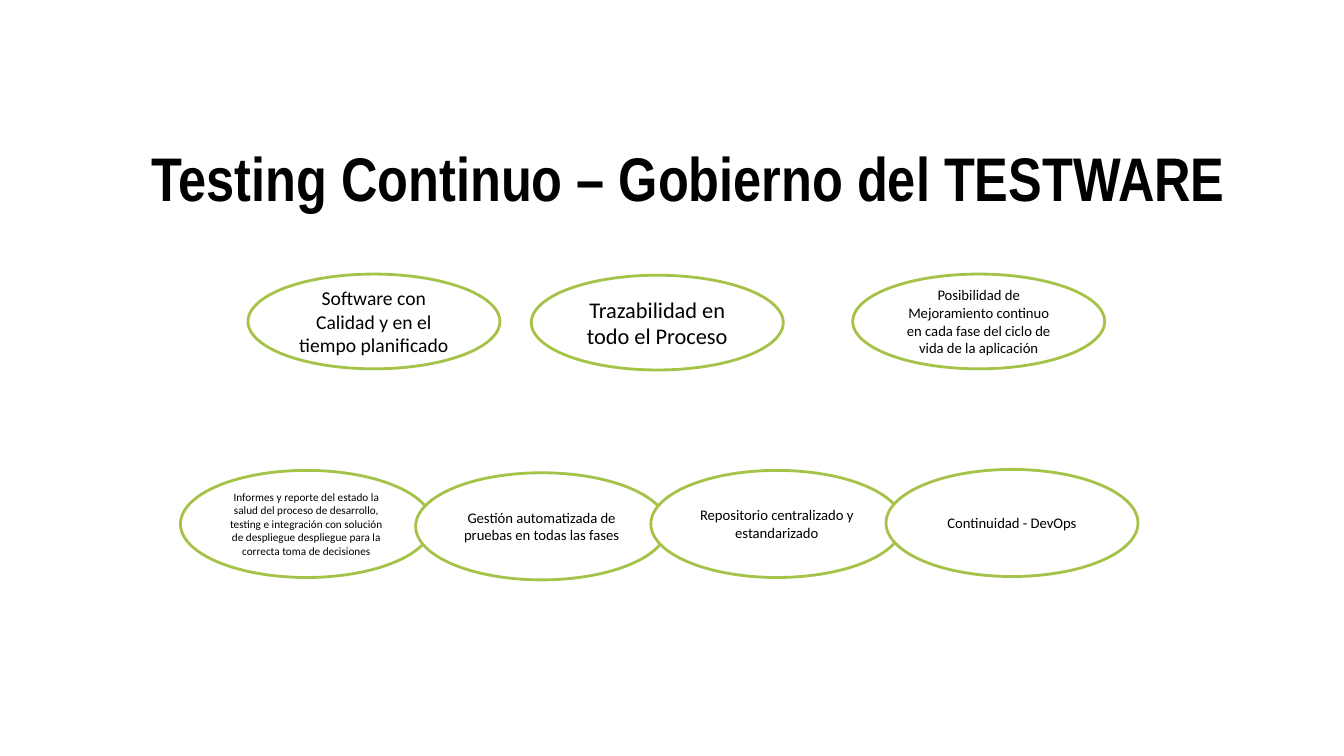
from dataclasses import dataclass

from pptx import Presentation
from pptx.dml.color import RGBColor
from pptx.enum.shapes import MSO_SHAPE
from pptx.enum.text import MSO_ANCHOR, MSO_AUTO_SIZE, PP_ALIGN
from pptx.slide import Slide
from pptx.text.text import TextFrame
from pptx.util import Pt

BLACK = RGBColor(0x00, 0x00, 0x00)
WHITE = RGBColor(0xFF, 0xFF, 0xFF)
GREEN = RGBColor(0xA5, 0xC2, 0x49)

BENEFIT_WIDTH = 180
UPPER_HEIGHT = 67.7
LOWER_HEIGHT = 76.5
LOWER_LEFT = 128.9
LOWER_STEP = 168


@dataclass(frozen=True)
class Benefit:
    text: str
    left: float
    top: float
    height: float
    size: float


UPPER_BENEFITS = [
    Benefit("Software con Calidad y en el tiempo planificado",
            177.1, 195.8, UPPER_HEIGHT, 14),
    Benefit("Trazabilidad en todo el Proceso",
            379.5, 196.6, UPPER_HEIGHT, 16),
    Benefit("Posibilidad de Mejoramiento continuo en cada fase del ciclo de "
            "vida de la aplicación", 609.1, 195.8, UPPER_HEIGHT, 10.5),
]

LOWER_BENEFITS = [
    Benefit(text, LOWER_LEFT + column * LOWER_STEP, top, LOWER_HEIGHT, size)
    for column, (text, top, size) in enumerate([
        ("Informes y reporte del estado la salud del proceso de desarrollo, "
         "testing e integración con solución de despliegue despliegue para la "
         "correcta toma de decisiones", 336.0, 8),
        ("Gestión automatizada de pruebas en todas las fases", 337.7, 10.5),
        ("Repositorio centralizado y estandarizado", 336.0, 10.5),
        ("Continuidad - DevOps", 335.3, 10.5),
    ])
]


def write_text(frame: TextFrame, text: str, *, size: float, font: str = "Calibri",
               bold: bool = False, anchor: MSO_ANCHOR = MSO_ANCHOR.MIDDLE,
               line_spacing: float = 1.0) -> None:
    frame.word_wrap = True
    frame.auto_size = MSO_AUTO_SIZE.NONE
    frame.vertical_anchor = anchor
    paragraph = frame.paragraphs[0]
    paragraph.alignment = PP_ALIGN.CENTER
    paragraph.line_spacing = line_spacing
    run = paragraph.add_run()
    run.text = text
    run.font.name = font
    run.font.size = Pt(size)
    run.font.bold = bold
    run.font.color.rgb = BLACK


def set_title(slide: Slide) -> None:
    title = slide.shapes.title
    title.left, title.top = Pt(94.3), Pt(72)
    title.width, title.height = Pt(805.7), Pt(81.4)
    frame = title.text_frame
    frame.margin_left = frame.margin_right = Pt(0)
    frame.margin_top = frame.margin_bottom = Pt(0)
    write_text(frame, "Testing Continuo – Gobierno del TESTWARE ", size=44,
               font="Arial Narrow", bold=True, anchor=MSO_ANCHOR.BOTTOM,
               line_spacing=0.9)


def draw_benefit(slide: Slide, benefit: Benefit) -> None:
    oval = slide.shapes.add_shape(
        MSO_SHAPE.FLOWCHART_CONNECTOR, Pt(benefit.left), Pt(benefit.top),
        Pt(BENEFIT_WIDTH), Pt(benefit.height))
    oval.shadow.inherit = False
    oval.fill.solid()
    oval.fill.fore_color.rgb = WHITE
    oval.line.color.rgb = GREEN
    oval.line.width = Pt(2)
    write_text(oval.text_frame, benefit.text, size=benefit.size)


def main() -> None:
    presentation = Presentation()
    presentation.slide_width, presentation.slide_height = Pt(960), Pt(540)
    slide = presentation.slides.add_slide(presentation.slide_layouts[5])
    set_title(slide)
    for benefit in UPPER_BENEFITS + LOWER_BENEFITS:
        draw_benefit(slide, benefit)
    presentation.save("out.pptx")


if __name__ == "__main__":
    main()
